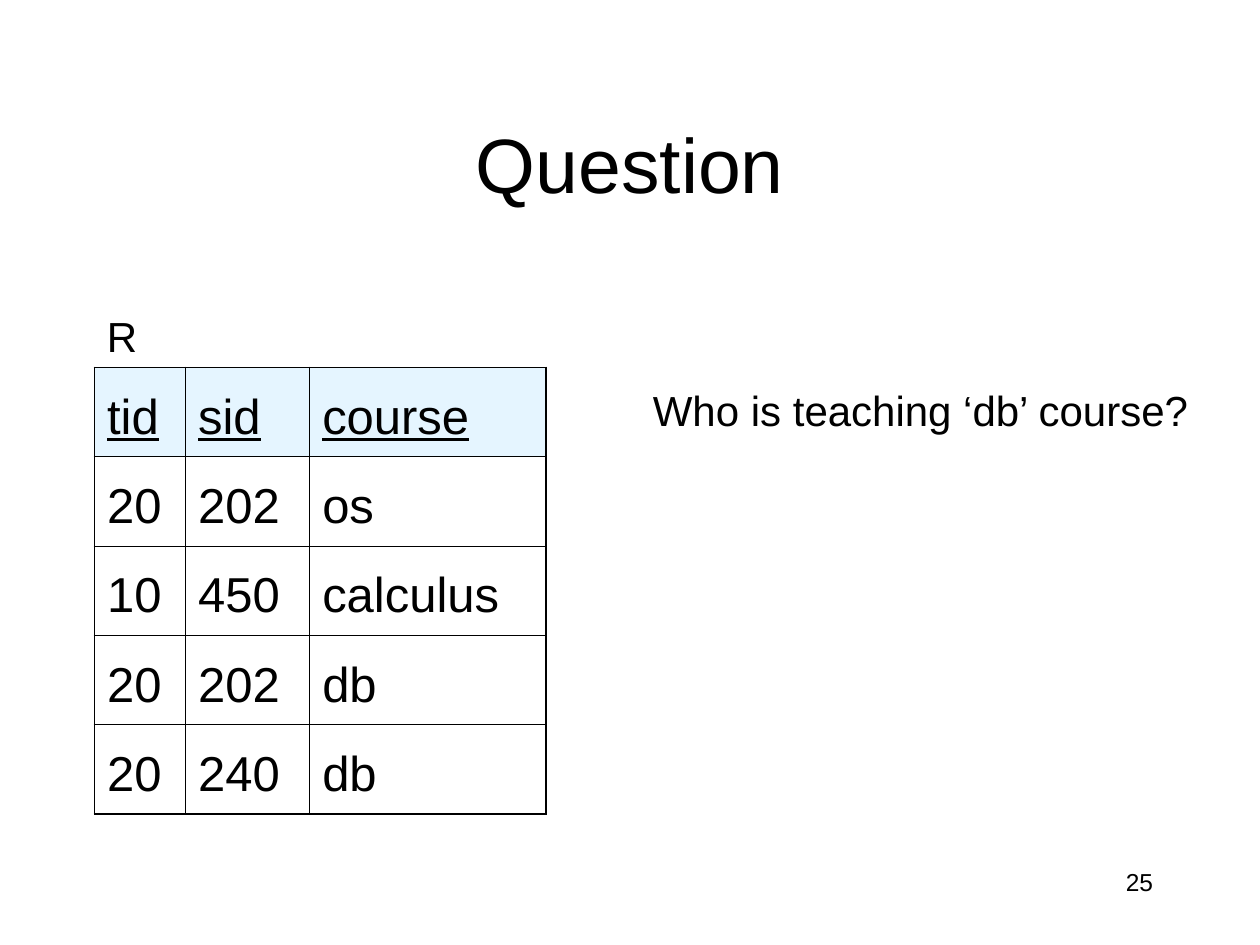
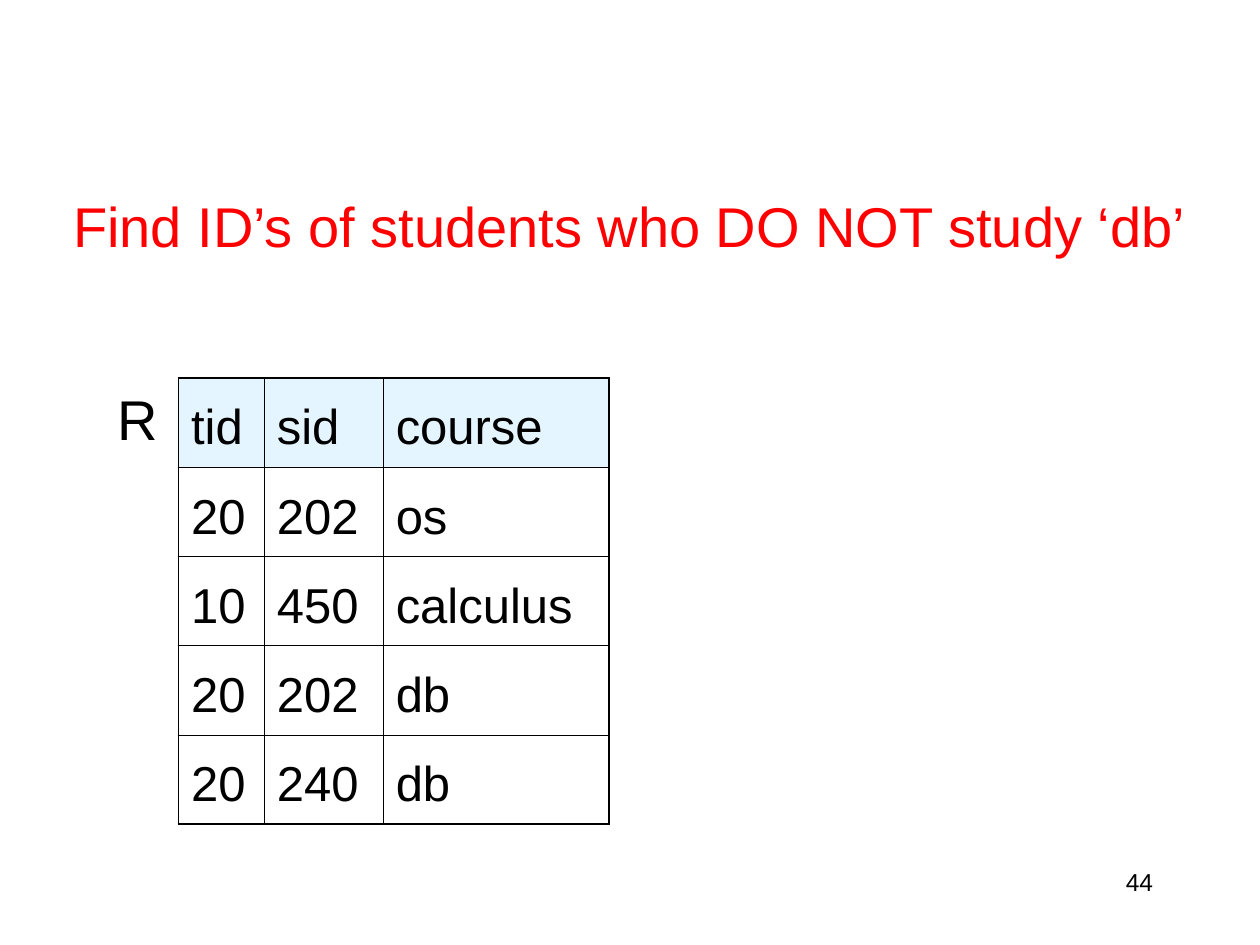
from lxml import etree
from pptx import Presentation
from pptx import util as u
from pptx.dml.color import RGBColor
from pptx.enum import text
from pptx.oxml import ns

COLOURS = {"ink": "000000", "accent": "FF0000", "header": "CCECFF"}
FONT = "Arial"
HEADER_ALPHA = 50000
OUTER_LINE, INNER_LINE = 1.08, 0.45
ROW_HEIGHT = 51
COURSES = [
    ("tid", "sid", "course"),
    ("20", "202", "os"),
    ("10", "450", "calculus"),
    ("20", "202", "db"),
    ("20", "240", "db"),
]


def rgb(name):
    return RGBColor.from_string(COLOURS[name])


def style_text(para, size, colour="ink", align=text.PP_ALIGN.LEFT, underline=False):
    para.alignment = align
    for span in para.runs:
        span.font.name = FONT
        span.font.size = u.Pt(size)
        span.font.color.rgb = rgb(colour)
        span.font.underline = underline


def add_title(page, box, wording, size, colour="ink",
              anchor=text.MSO_ANCHOR.MIDDLE, bottom_inset=3.6):
    title = page.shapes.title
    title.left, title.top, title.width, title.height = map(u.Pt, box)
    frame = title.text_frame
    frame.text = wording
    frame.auto_size = text.MSO_AUTO_SIZE.NONE
    frame.vertical_anchor = anchor
    frame.margin_bottom = u.Pt(bottom_inset)
    style_text(frame.paragraphs[0], size, colour, text.PP_ALIGN.CENTER)


def add_label(page, box, wording, size, align=text.PP_ALIGN.LEFT):
    frame = page.shapes.add_textbox(*map(u.Pt, box)).text_frame
    frame.word_wrap = True
    frame.text = wording
    style_text(frame.paragraphs[0], size, align=align)


def add_page_number(page, number):
    add_label(page, (516, 492, 150, 36), number, 14, text.PP_ALIGN.RIGHT)


def set_borders(cell, widths):
    """Draw the left, right, top and bottom edges, in that order."""
    props = cell._tc.get_or_add_tcPr()
    for place, (side, width) in enumerate(zip("LRTB", widths)):
        line = etree.Element(ns.qn(f"a:ln{side}"), w=str(u.Pt(width)))
        fill = etree.SubElement(line, ns.qn("a:solidFill"))
        etree.SubElement(fill, ns.qn("a:srgbClr"), val=COLOURS["ink"])
        props.insert(place, line)


def fill_header(cell):
    cell.fill.solid()
    cell.fill.fore_color.rgb = rgb("header")
    colour = cell._tc.tcPr.find(".//" + ns.qn("a:srgbClr"))
    etree.SubElement(colour, ns.qn("a:alpha"), val=str(HEADER_ALPHA))


def add_relation(page, left, top, column_widths, underline_header=False):
    last_row, last_column = len(COURSES) - 1, len(column_widths) - 1
    table = page.shapes.add_table(
        len(COURSES), len(column_widths), u.Pt(left), u.Pt(top),
        u.Pt(sum(column_widths)), u.Pt(ROW_HEIGHT * len(COURSES))).table
    table.first_row = table.horz_banding = False
    for column, width in zip(table.columns, column_widths):
        column.width = u.Pt(width)
    for r, record in enumerate(COURSES):
        table.rows[r].height = u.Pt(ROW_HEIGHT)
        for c, value in enumerate(record):
            cell = table.cell(r, c)
            cell.text = value
            para = cell.text_frame.paragraphs[0]
            para.line_spacing = 1.3
            style_text(para, 28, underline=underline_header and r == 0)
            if r == 0:
                fill_header(cell)
            else:
                cell.fill.background()
            outer_edges = (c == 0, c == last_column, r == 0, r == last_row)
            set_borders(cell, [OUTER_LINE if outer else INNER_LINE
                               for outer in outer_edges])


def build_question(page):
    add_title(page, (54, 48, 612, 90), "Question", 44)
    add_relation(page, 54, 210, (52, 71, 135), underline_header=True)
    add_label(page, (54, 174, 78, 36), "R", 24)
    add_label(page, (366, 216, 330, 36), "Who is teaching ‘db’ course?", 24)
    add_page_number(page, "25")


def build_exercise(page):
    add_page_number(page, "44")
    add_title(page, (30, 78, 660, 70), "Find ID’s of students who DO NOT study ‘db’",
              32, "accent", text.MSO_ANCHOR.BOTTOM, bottom_inset=0)
    add_relation(page, 102, 216, (49, 68, 129))
    add_label(page, (60, 216, 36, 46), "R", 32, text.PP_ALIGN.RIGHT)


def main():
    deck = Presentation()
    deck.slide_width, deck.slide_height = u.Pt(720), u.Pt(540)
    title_only = deck.slide_layouts.get_by_name("Title Only")
    for build in (build_question, build_exercise):
        build(deck.slides.add_slide(title_only))
    deck.save("out.pptx")


if __name__ == "__main__":
    main()
